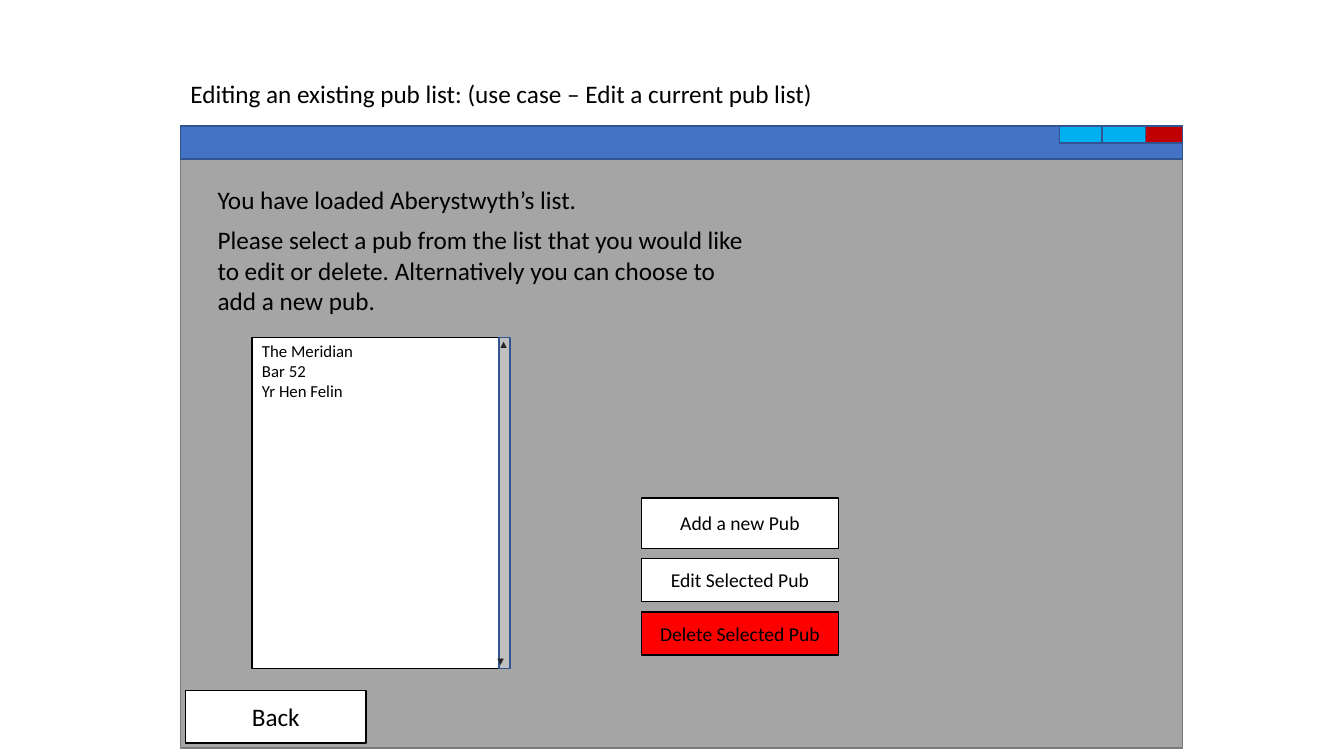
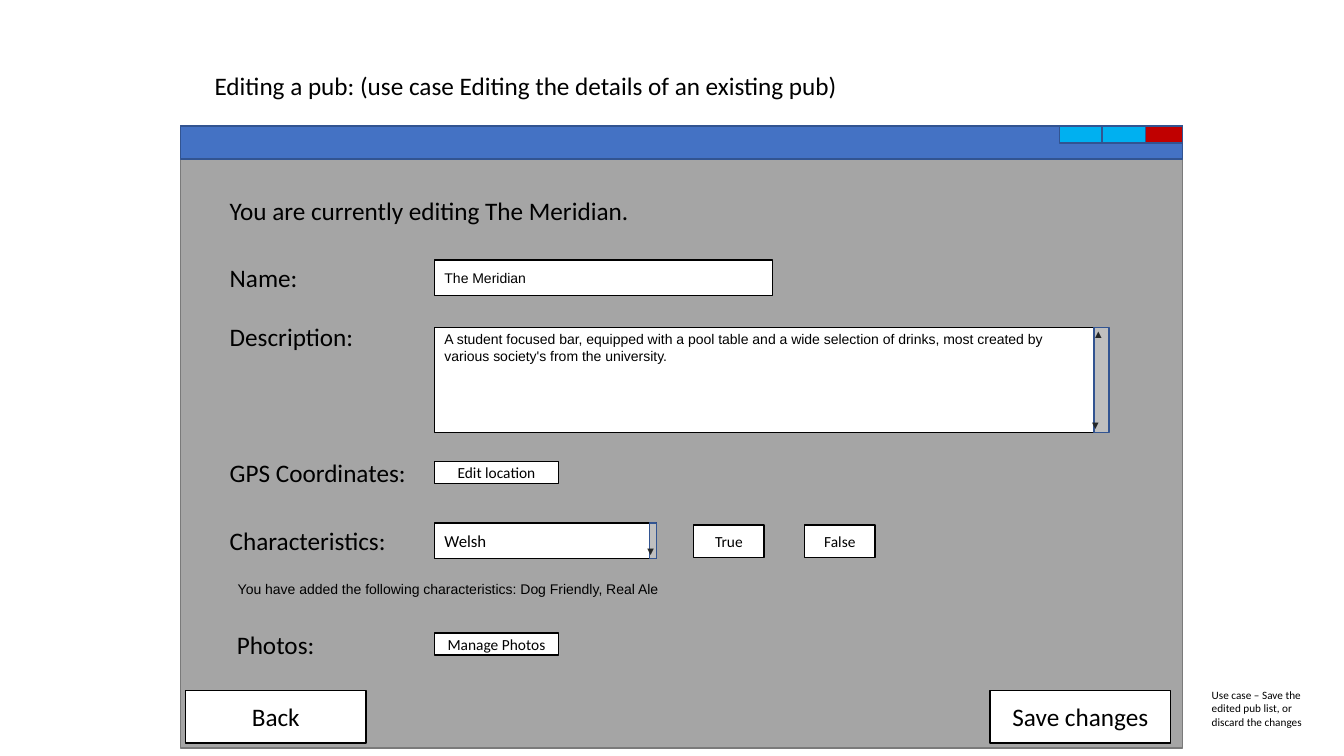
from collections import namedtuple

from pptx import Presentation
from pptx.dml.color import RGBColor
from pptx.enum.shapes import MSO_SHAPE
from pptx.enum.text import MSO_ANCHOR, PP_ALIGN
from pptx.util import Inches, Pt

BLACK = RGBColor(0x00, 0x00, 0x00)
WHITE = RGBColor(0xFF, 0xFF, 0xFF)
GREY = RGBColor(0xA5, 0xA5, 0xA5)
GREY_EDGE = RGBColor(0x7A, 0x7A, 0x7A)
BLUE = RGBColor(0x44, 0x72, 0xC4)
BLUE_EDGE = RGBColor(0x32, 0x54, 0x91)
SKY = RGBColor(0x00, 0xB0, 0xF0)
DARK_RED = RGBColor(0xC0, 0x00, 0x00)
RED = RGBColor(0xFF, 0x00, 0x00)
SILVER = RGBColor(0xBF, 0xBF, 0xBF)
ARROW = RGBColor(0x24, 0x27, 0x29)
BODY_FONT = "Calibri"
INPUT_FONT = "Arial"


class Box(namedtuple("Box", "left top width height")):
    """A rectangle measured in inches."""

    def inner(self, dx, dy, width, height):
        """Return a box offset from this one's top left corner."""
        return Box(self.left + dx, self.top + dy, width, height)

    def lengths(self):
        """Return the four measures as lengths."""
        return [Inches(value) for value in self]


WINDOW = Box(1.79, 1.25, 9.94, 6.17)


def write(frame, lines, size, font=BODY_FONT, color=BLACK, align=PP_ALIGN.LEFT):
    """Fill a text frame with one paragraph per line."""
    for index, line in enumerate(lines):
        paragraph = frame.paragraphs[0] if index == 0 else frame.add_paragraph()
        paragraph.alignment = align
        run = paragraph.add_run()
        run.text = line
        run.font.size = Pt(size)
        run.font.name = font
        run.font.color.rgb = color


def add_panel(slide, box, fill, edge):
    """Draw a flat outlined rectangle."""
    panel = slide.shapes.add_shape(MSO_SHAPE.RECTANGLE, *box.lengths())
    panel.shadow.inherit = False
    panel.fill.solid()
    panel.fill.fore_color.rgb = fill
    panel.line.color.rgb = edge
    panel.line.width = Pt(1)
    return panel


def add_label(slide, box, text, size=18, font=BODY_FONT):
    """Place a wrapped line of plain text."""
    frame = slide.shapes.add_textbox(*box.lengths()).text_frame
    frame.word_wrap = True
    write(frame, [text], size, font)


def add_button(slide, box, caption, size, fill=WHITE):
    """Draw a button with a centred caption."""
    frame = add_panel(slide, box, fill, BLACK).text_frame
    frame.word_wrap = True
    frame.vertical_anchor = MSO_ANCHOR.MIDDLE
    write(frame, [caption], size, align=PP_ALIGN.CENTER)


def add_field(slide, box, lines, size, font=BODY_FONT, anchor=MSO_ANCHOR.MIDDLE):
    """Draw a white input field with left-aligned content."""
    frame = add_panel(slide, box, WHITE, BLACK).text_frame
    frame.word_wrap = True
    frame.vertical_anchor = anchor
    frame.margin_top = frame.margin_bottom = Inches(0.03)
    write(frame, lines, size, font)


def add_scrollbar(slide, box, arrows="▲▼"):
    """Draw a scrollbar with arrows at its ends."""
    add_panel(slide, box, SILVER, BLUE_EDGE)
    places = {"▲": (-0.03, 0), "▼": (-0.06, box.height - 0.14)}
    for arrow in arrows:
        dx, dy = places[arrow]
        spot = box.inner(dx, dy, 0.15, 0.14)
        frame = slide.shapes.add_textbox(*spot.lengths()).text_frame
        frame.word_wrap = False
        frame.margin_left = frame.margin_right = 0
        frame.margin_top = frame.margin_bottom = 0
        write(frame, [arrow], 8, INPUT_FONT, ARROW, PP_ALIGN.CENTER)


def add_window(slide, box):
    """Draw the application window with its title bar and Back button."""
    add_panel(slide, box, GREY, GREY_EDGE)
    add_panel(slide, box.inner(0, 0, box.width, 0.33), BLUE, BLUE_EDGE)
    controls = [(1.22, 0.43, SKY), (0.8, 0.43, SKY), (0.37, 0.37, DARK_RED)]
    for from_right, width, color in controls:
        control = box.inner(box.width - from_right, 0, width, 0.17)
        add_panel(slide, control, color, BLUE_EDGE)
    add_button(slide, box.inner(0.05, 5.6, 1.79, 0.52), "Back", 18)


def add_pub_list(slide, box):
    """Draw the scrolling list of pubs."""
    pubs = ["The Meridian", "Bar 52", "Yr Hen Felin"]
    add_field(slide, box, pubs, 12, anchor=MSO_ANCHOR.TOP)
    add_scrollbar(slide, box.inner(box.width, 0, 0.11, box.height))


def add_list_actions(slide, box):
    """Stack the list's action buttons with equal gaps."""
    actions = [
        ("Add a new Pub", 0.5, WHITE),
        ("Edit Selected Pub", 0.43, WHITE),
        ("Delete Selected Pub", 0.43, RED),
    ]
    dy = 0
    for caption, height, fill in actions:
        add_button(slide, box.inner(0, dy, box.width, height), caption, 14, fill)
        dy += height + 0.1


def build_list_slide(slide, box):
    """Build the screen for editing a pub list."""
    add_label(slide, box.inner(0, -0.52, 8.65, 0.4),
              "Editing an existing pub list: (use case – Edit a current pub list)")
    add_window(slide, box)
    add_label(slide, box.inner(0.27, 0.53, 5.52, 0.4),
              "You have loaded Aberystwyth’s list.")
    add_label(slide, box.inner(0.27, 0.93, 5.52, 1.01),
              "Please select a pub from the list that you would like to edit or "
              "delete. Alternatively you can choose to add a new pub.")
    add_pub_list(slide, box.inner(0.71, 2.1, 2.45, 3.28))
    add_list_actions(slide, box.inner(4.57, 3.69, 1.96, 1.56))


def add_form_labels(slide, box):
    """Place the form's heading and row labels."""
    labels = [
        (0.39, 0.64, "You are currently editing The Meridian."),
        (0.39, 1.3, "Name:"),
        (0.39, 1.89, "Description:"),
        (0.39, 3.24, "GPS Coordinates:"),
        (0.39, 3.91, "Characteristics:"),
        (0.46, 4.94, "Photos:"),
    ]
    for dx, dy, text in labels:
        add_label(slide, box.inner(dx, dy, 4.49, 0.4), text)
    add_label(slide, box.inner(0.47, 4.46, 6.07, 0.27),
              "You have added the following characteristics: Dog Friendly, Real Ale",
              10, INPUT_FONT)


def add_form_inputs(slide, box):
    """Place the form's fields and buttons in one column."""
    add_field(slide, box.inner(0, 0, 3.35, 0.35), ["The Meridian"], 10, INPUT_FONT)
    description = box.inner(0, 0.67, 6.54, 1.04)
    add_field(slide, description,
              ["A student focused bar, equipped with a pool table and a wide "
               "selection of drinks, most created by various society's from "
               "the university."],
              10, INPUT_FONT, MSO_ANCHOR.TOP)
    add_scrollbar(slide, description.inner(6.54, 0, 0.15, 1.04))
    characteristic = box.inner(0, 2.61, 2.2, 0.35)
    add_field(slide, characteristic, ["Welsh"], 12)
    add_scrollbar(slide, characteristic.inner(2.13, 0, 0.07, 0.35), "▼")
    buttons = [
        (0, 2, 1.23, 0.22, "Edit location"),
        (0, 3.7, 1.23, 0.22, "Manage Photos"),
        (2.57, 2.63, 0.7, 0.32, "True"),
        (3.67, 2.63, 0.7, 0.32, "False"),
    ]
    for dx, dy, width, height, caption in buttons:
        add_button(slide, box.inner(dx, dy, width, height), caption, 11)


def build_pub_slide(slide, box):
    """Build the screen for editing one pub."""
    add_label(slide, box.inner(0.24, -0.6, 7.89, 0.4),
              "Editing a pub: (use case Editing the details of an existing pub)")
    add_window(slide, box)
    add_form_labels(slide, box)
    add_form_inputs(slide, box.inner(2.52, 1.33, 6.69, 3.92))
    add_button(slide, box.inner(8.03, 5.6, 1.79, 0.52), "Save changes", 18)
    add_label(slide, box.inner(10.13, 5.53, 1.2, 0.5),
              "Use case – Save the edited pub list, or discard the changes", 8)


def main():
    """Build and save the presentation."""
    presentation = Presentation()
    presentation.slide_width = Inches(13.33)
    presentation.slide_height = Inches(7.5)
    for build in (build_list_slide, build_pub_slide):
        build(presentation.slides.add_slide(presentation.slide_layouts[6]), WINDOW)
    presentation.save("out.pptx")


if __name__ == "__main__":
    main()
